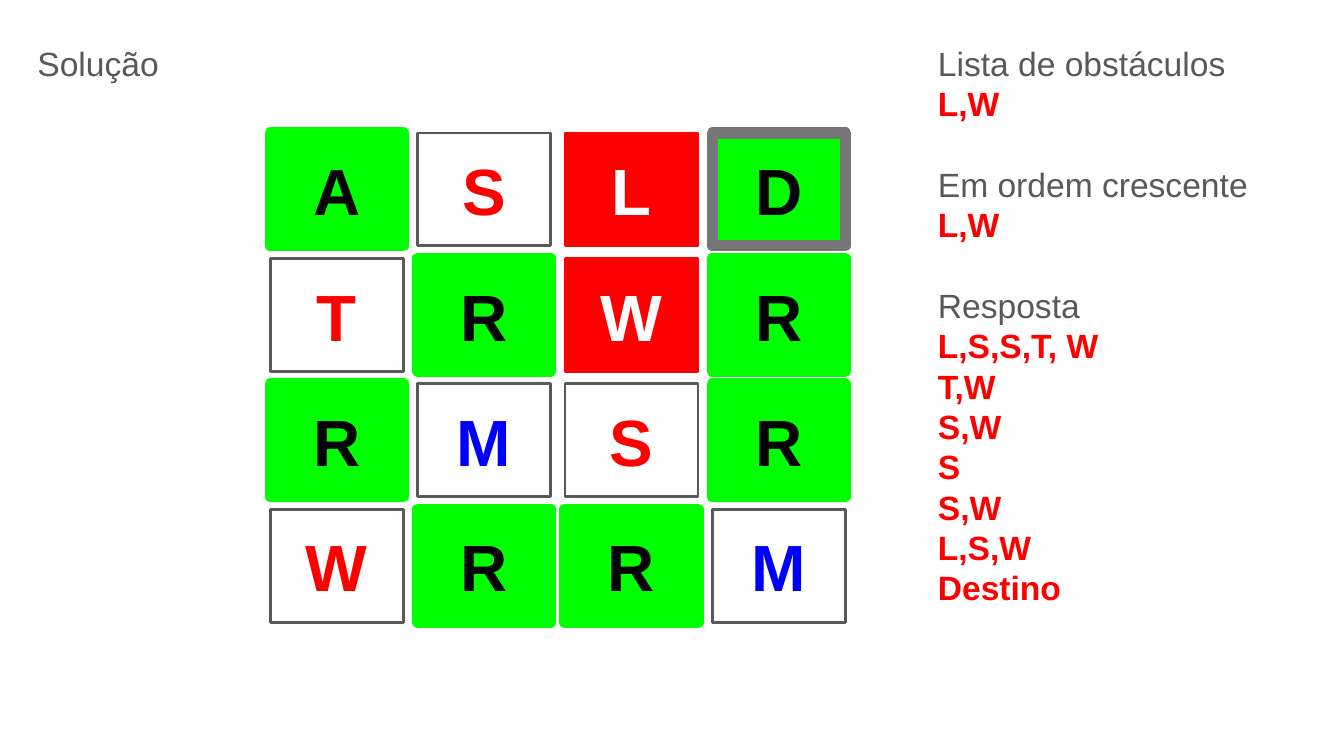
import pptx
import pptx.dml.color
import pptx.enum.shapes
import pptx.enum.text
import pptx.oxml.ns
import pptx.util
from pptx.util import Inches
from lxml import etree

RGBColor = pptx.dml.color.RGBColor
GREEN = RGBColor(0x00, 0xFF, 0x00)
RED = RGBColor(0xFF, 0x00, 0x00)
BLUE = RGBColor(0x00, 0x00, 0xFF)
BLACK = RGBColor(0x00, 0x00, 0x00)
WHITE = RGBColor(0xFF, 0xFF, 0xFF)
DARK_GRAY = RGBColor(0x59, 0x59, 0x59)
GOAL_GRAY = RGBColor(0x77, 0x77, 0x77)

FRAME_FORMAT = {
    "word_wrap": True,
    "margin_left": Inches(0.1),
    "margin_top": Inches(0.1),
    "margin_right": Inches(0.1),
    "margin_bottom": Inches(0.1),
}
CELL_STYLES = {
    "route": (GREEN, GREEN, 6, BLACK),
    "goal": (GREEN, GOAL_GRAY, 6, BLACK),
    "obstacle": (RED, RED, 1.5, WHITE),
    "letter": (None, DARK_GRAY, 1.5, RED),
    "blue": (None, DARK_GRAY, 1.5, BLUE),
}
BOARD = [
    [("A", "route"), ("S", "letter"), ("L", "obstacle"), ("D", "goal")],
    [("T", "letter"), ("R", "route"), ("W", "obstacle"), ("R", "route")],
    [("R", "route"), ("M", "blue"), ("S", "letter"), ("R", "route")],
    [("W", "letter"), ("R", "route"), ("R", "route"), ("M", "blue")],
]
COLUMN_STEP = (5.3 - 2.01) / 3
ROW_STEP = (3.79 - 0.99) / 3
ANSWERS = [
    ("Lista de obstáculos", ["L,W"]),
    ("Em ordem crescente", ["L,W"]),
    ("Resposta", ["L,S,S,T, W", "T,W", "S,W", "S", "S,W", "L,S,W", "Destino"]),
]


def format_frame(frame, anchor):
    for attribute, value in FRAME_FORMAT.items():
        setattr(frame, attribute, value)
    frame.vertical_anchor = anchor


def write(paragraph, words, size, color, bold):
    run = paragraph.add_run()
    run.text = words
    font_format = {"name": "Arial", "size": pptx.util.Pt(size), "bold": bold}
    for attribute, value in font_format.items():
        setattr(run.font, attribute, value)
    run.font.color.rgb = color


presentation = pptx.Presentation()
presentation.slide_width = Inches(10)
presentation.slide_height = Inches(10) * 9 // 16
slide = presentation.slides.add_slide(presentation.slide_layouts[6])

for row, letters in enumerate(BOARD):
    for column, (letter, kind) in enumerate(letters):
        fill, border, border_width, letter_color = CELL_STYLES[kind]
        cell = slide.shapes.add_shape(
            pptx.enum.shapes.MSO_SHAPE.RECTANGLE,
            Inches(2.01 + COLUMN_STEP * column), Inches(0.99 + ROW_STEP * row),
            Inches(0.99), Inches(0.84))
        cell.shadow.inherit = False
        if fill is None:
            cell.fill.background()
        else:
            cell.fill.solid()
            cell.fill.fore_color.rgb = fill
        cell.line.color.rgb = border
        cell.line.width = pptx.util.Pt(border_width)
        outline = cell.line.fill._xPr
        etree.SubElement(outline, pptx.oxml.ns.qn("a:round"))
        format_frame(cell.text_frame, pptx.enum.text.MSO_ANCHOR.MIDDLE)
        paragraph = cell.text_frame.paragraphs[0]
        paragraph.alignment = pptx.enum.text.PP_ALIGN.CENTER
        write(paragraph, letter, 35, letter_color, True)

answers = slide.shapes.add_textbox(
    Inches(6.88), Inches(0.22), Inches(2.81), Inches(4.51)).text_frame
format_frame(answers, pptx.enum.text.MSO_ANCHOR.TOP)
for index, (heading, lines) in enumerate(ANSWERS):
    paragraph = answers.add_paragraph() if index else answers.paragraphs[0]
    paragraph.space_before = pptx.util.Pt(21.6 if index else 0)
    write(paragraph, heading, 18, DARK_GRAY, False)
    for line in lines:
        paragraph.add_line_break()
        write(paragraph, line, 18, RED, True)

title = slide.shapes.add_textbox(
    Inches(0.18), Inches(0.22), Inches(4.08), Inches(0.46)).text_frame
format_frame(title, pptx.enum.text.MSO_ANCHOR.TOP)
write(title.paragraphs[0], "Solução", 18, DARK_GRAY, False)

presentation.save("out.pptx")
